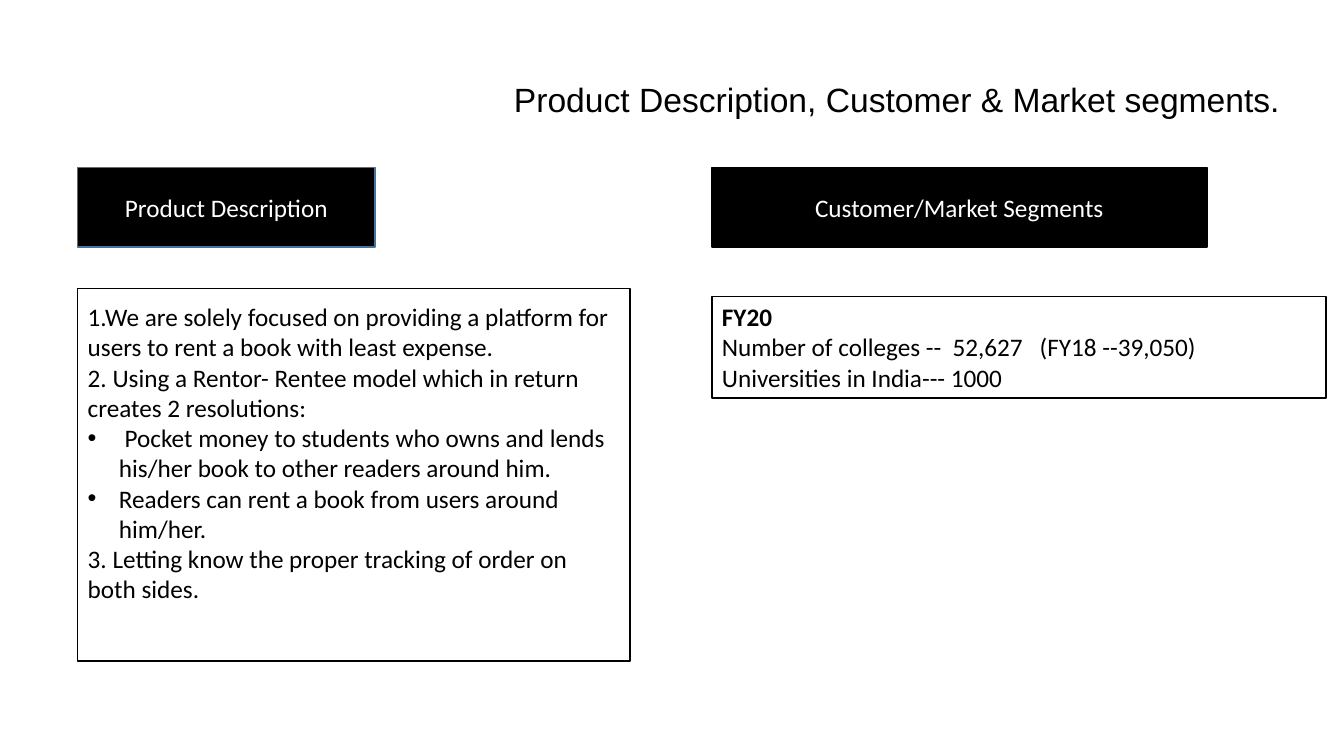
import pptx
import pptx.util
import pptx.dml.color
import pptx.enum.shapes
import pptx.enum.text
import pptx.oxml
from dataclasses import dataclass

Inches, Pt = pptx.util.Inches, pptx.util.Pt
Align = pptx.enum.text.PP_ALIGN
Anchor = pptx.enum.text.MSO_ANCHOR


@dataclass(frozen=True)
class Theme:
    black: str = "000000"
    white: str = "FFFFFF"
    blue: str = "43739E"
    title_font: str = "Arial"
    body_font: str = "Calibri"
    title_size: int = 24
    body_size: int = 18


theme = Theme()

# Content: each body line is (text, bulleted, bold)
TITLE = "Product Description, Customer & Market segments."
DESCRIPTION = [
    ("1.We are solely focused on providing a platform for users to rent a book "
     "with least expense.", False, False),
    ("2. Using a Rentor- Rentee model which in return creates 2 resolutions:", False, False),
    (" Pocket money to students who owns and lends his/her book to other readers "
     "around him.", True, False),
    ("Readers can rent a book from users around him/her.", True, False),
    ("3. Letting know the proper tracking of order on both sides.", False, False),
]
SEGMENTS = [
    ("FY20", False, True),
    ("Number of colleges --  52,627   (FY18 --39,050)", False, False),
    ("Universities in India--- 1000", False, False),
]

# Layout, in inches
LEFT, RIGHT = 0.77, 7.06
HEADER_TOP, HEADER_HEIGHT = 1.66, 0.79
BODY_TOP, BODY_WIDTH = 2.94, 5.48
INDENT = 0.31
HEADERS = [
    ("Product Description", LEFT, 2.95, theme.blue),
    ("Customer/Market Segments", RIGHT, 4.91, theme.black),
]
BODIES = [
    (DESCRIPTION, LEFT, BODY_WIDTH, 3.13, False),
    (SEGMENTS, RIGHT, 6.09, 1.01, True),
]


def color(value):
    return pptx.dml.color.RGBColor.from_string(value)


def place(shape, left, top, width, height):
    shape.left, shape.top = Inches(left), Inches(top)
    shape.width, shape.height = Inches(width), Inches(height)


def outline(shape, line_color):
    shape.line.color.rgb = color(line_color)
    shape.line.width = Pt(1)


def set_frame(frame, anchor, side=0.1, end=0.05):
    frame.word_wrap = True
    frame.auto_size = pptx.enum.text.MSO_AUTO_SIZE.NONE
    frame.vertical_anchor = anchor
    frame.margin_left = frame.margin_right = Inches(side)
    frame.margin_top = frame.margin_bottom = Inches(end)


def style(paragraph, font_name, size, text_color, alignment, bold=False):
    paragraph.alignment = alignment
    paragraph.space_before = Pt(0)
    for run in paragraph.runs:
        run.font.name, run.font.size, run.font.bold = font_name, Pt(size), bold
        run.font.color.rgb = color(text_color)


def set_bullet(paragraph, bulleted):
    properties = paragraph._p.get_or_add_pPr()
    indent = Inches(INDENT) if bulleted else 0
    properties.set("marL", str(indent))
    properties.set("indent", str(-indent))
    namespace = 'xmlns:a="http://schemas.openxmlformats.org/drawingml/2006/main"'
    marks = [f'<a:buFont {namespace} typeface="Arial"/>',
             f'<a:buChar {namespace} char="•"/>'] if bulleted else [f"<a:buNone {namespace}/>"]
    for mark in marks:
        properties.append(pptx.oxml.parse_xml(mark))


def add_rectangle(slide, left, top, width, height, line_color):
    shape = slide.shapes.add_shape(
        pptx.enum.shapes.MSO_SHAPE.RECTANGLE,
        Inches(left), Inches(top), Inches(width), Inches(height))
    shape.shadow.inherit = False
    outline(shape, line_color)
    return shape


presentation = pptx.Presentation()
presentation.slide_width, presentation.slide_height = Inches(13.33), Inches(7.5)
slide = presentation.slides.add_slide(presentation.slide_layouts.get_by_name("Two Content"))
title, *body_placeholders = slide.placeholders

# Title
place(title, 4.79, 0.71, 8.21, 0.65)
title.text_frame.text = TITLE
set_frame(title.text_frame, Anchor.TOP, 0.13, 0.07)
style(title.text_frame.paragraphs[0], theme.title_font, theme.title_size,
      theme.black, Align.CENTER)

# Column headers
for text, left, width, line_color in HEADERS:
    header = add_rectangle(slide, left, HEADER_TOP, width, HEADER_HEIGHT, line_color)
    header.fill.solid()
    header.fill.fore_color.rgb = color(theme.black)
    header.text_frame.text = text
    set_frame(header.text_frame, Anchor.MIDDLE)
    style(header.text_frame.paragraphs[0], theme.body_font, theme.body_size,
          theme.white, Align.CENTER)

# Column bodies
for body, (lines, left, width, height, outlined) in zip(body_placeholders, BODIES):
    place(body, left, BODY_TOP, width, height)
    body.text_frame.text = "\n".join(text for text, bulleted, bold in lines)
    set_frame(body.text_frame, Anchor.TOP)
    if outlined:
        outline(body, theme.black)
    for paragraph, (text, bulleted, bold) in zip(body.text_frame.paragraphs, lines):
        style(paragraph, theme.body_font, theme.body_size, theme.black, Align.LEFT, bold)
        set_bullet(paragraph, bulleted)

# Frame around the product description
description_frame = add_rectangle(slide, LEFT, 2.86, BODY_WIDTH, 3.7, theme.black)
description_frame.fill.background()

presentation.save("out.pptx")
